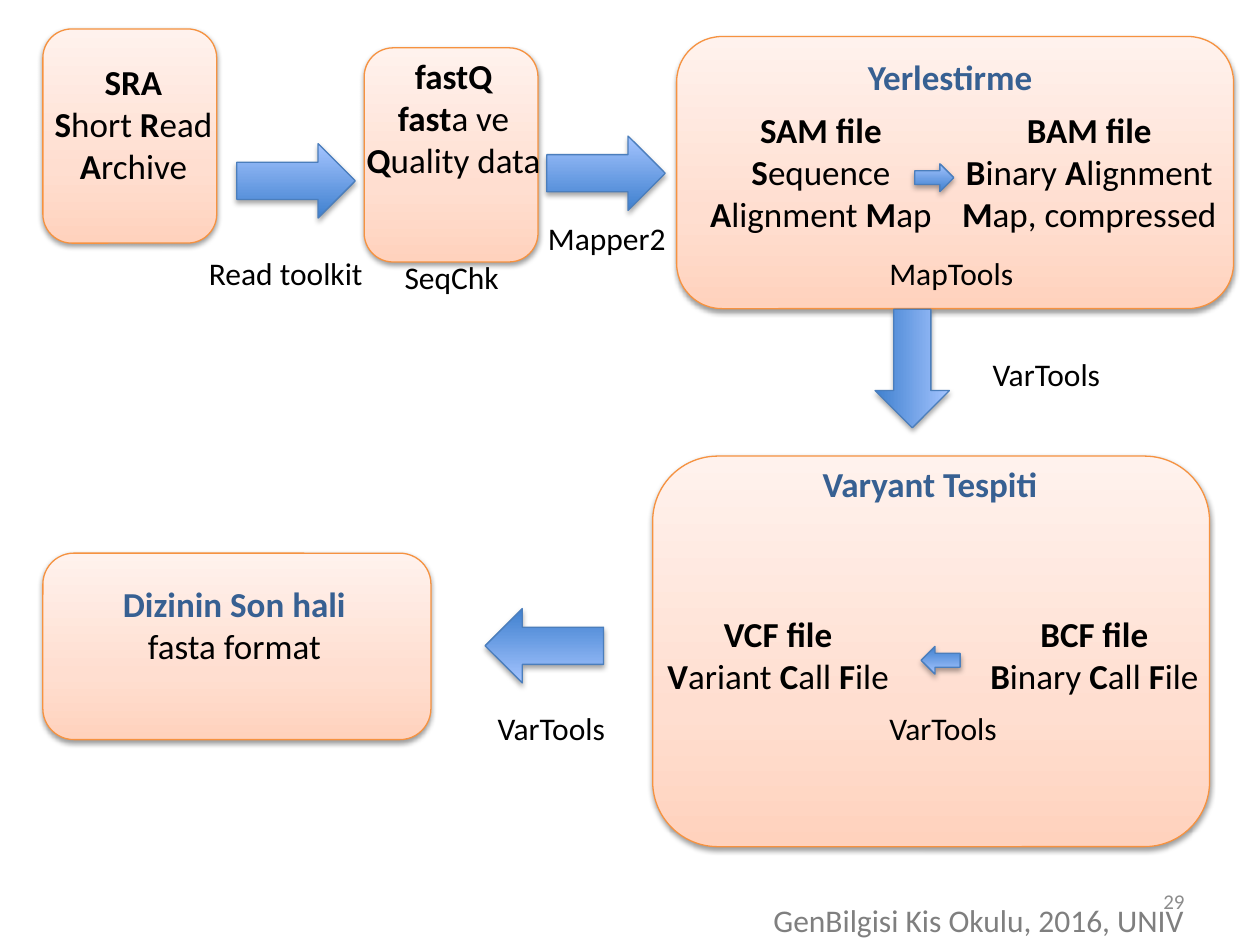
from lxml import etree
from pptx import Presentation
from pptx.dml.color import RGBColor
from pptx.enum.shapes import MSO_SHAPE
from pptx.enum.text import MSO_ANCHOR, PP_ALIGN
from pptx.oxml.ns import qn
from pptx.util import Inches, Pt

ROUNDED, ARROW = MSO_SHAPE.ROUNDED_RECTANGLE, MSO_SHAPE.RIGHT_ARROW
LEFT, CENTER, RIGHT = PP_ALIGN.LEFT, PP_ALIGN.CENTER, PP_ALIGN.RIGHT
TOP, MIDDLE = MSO_ANCHOR.TOP, MSO_ANCHOR.MIDDLE
BLACK, HEADING, GRAY, PALE_GRAY = "000000", "376092", "7F7F7F", "8C8C8C"
BIG_ARROW, SMALL_ARROW = (0.94, 0.59), (0.31, 0.22)
VARIANT_TOOL = "VarTools"
PANEL_STYLE = {
    "stops": [(0, "FFD2BD"), (35, "FFDED0"), (100, "FFF2ED")],
    "line": "F69240", "shadow_alpha": 38, "shadow_distance": 1.6,
}
ARROW_STYLE = {
    "stops": [(0, "3F80CE"), (100, "A4C4FF")],
    "line": "4B7EBC", "shadow_alpha": 35, "shadow_distance": 1.8,
}


def rgb(value):
    """Turn a hex string into a colour."""
    return RGBColor.from_string(value)


def add_color(parent, value):
    """Append a colour element to an XML parent and return it."""
    return etree.SubElement(parent, qn("a:srgbClr"), val=value)


def add_styled_shape(slide, preset, box, style, rotation=0):
    """Add a preset shape with gradient, outline and soft shadow."""
    shape = slide.shapes.add_shape(preset, *map(Inches, box))
    shape.rotation = rotation
    shape.fill.gradient()
    shape.fill.gradient_angle = 90
    stops = shape._element.spPr.find(qn("a:gradFill")).find(qn("a:gsLst"))
    for stop in list(stops):
        stops.remove(stop)
    for position, value in style["stops"]:
        add_color(etree.SubElement(stops, qn("a:gs"), pos=str(position * 1000)), value)
    shape.line.color.rgb = rgb(style["line"])
    shape.line.width = Pt(0.75)
    shape.shadow.inherit = False
    effects = shape._element.spPr.find(qn("a:effectLst"))
    shadow = etree.SubElement(
        effects, qn("a:outerShdw"), blurRad=str(Pt(3.1)),
        dist=str(Pt(style["shadow_distance"])), dir="5400000", rotWithShape="0")
    etree.SubElement(add_color(shadow, BLACK), qn("a:alpha"),
                     val=str(style["shadow_alpha"] * 1000))


def add_panel(slide, box):
    """Add a rounded orange panel."""
    add_styled_shape(slide, ROUNDED, box, PANEL_STYLE)


def add_arrow(slide, left, top, size=BIG_ARROW, rotation=0):
    """Add a blue block arrow, rotated about its centre."""
    add_styled_shape(slide, ARROW, (left, top, *size), ARROW_STYLE, rotation)


def add_text(slide, box, lines, size=20, align=CENTER, anchor=TOP):
    """Add (text, colour) paragraphs; asterisks enclose bold passages."""
    frame = slide.shapes.add_textbox(*map(Inches, box)).text_frame
    frame.word_wrap = True
    frame.vertical_anchor = anchor
    for number, (text, color) in enumerate(lines):
        paragraph = frame.add_paragraph() if number else frame.paragraphs[0]
        paragraph.alignment = align
        for part, passage in enumerate(text.split("*")):
            if not passage:
                continue
            run = paragraph.add_run()
            run.text = passage
            font = {"name": "Calibri", "size": Pt(size), "bold": part % 2 == 1}
            for attribute, value in font.items():
                setattr(run.font, attribute, value)
            run.font.color.rgb = rgb(color)


def add_tool(slide, left, top, tool, width=1.45, align=LEFT):
    """Name the tool that performs a step."""
    add_text(slide, (left, top, width, 0.4), [(tool, BLACK)], 18, align)


def add_format(slide, box, name, meaning):
    """Add a bold file format name with its spelled-out meaning."""
    add_text(slide, box, [(f"*{name}*", BLACK), (meaning, BLACK)])


def add_input(slide, box, text_at, name, meaning):
    """Add a narrow panel for an input format, with centred text."""
    left, top, width, _ = box
    add_panel(slide, box)
    add_format(slide, (left + text_at[0], top + text_at[1], width + 0.38, 1.11),
               name, meaning)


def add_stage(slide, box, title, title_at, formats, arrow, tool):
    """Add a stage panel: title, two formats, an arrow and its tool."""
    left, top = box[:2]
    add_panel(slide, box)
    add_text(slide, (left + title_at[0], top + title_at[1], 3.02, 0.44),
             [(f"*{title}*", HEADING)])
    for x, y, name, meaning in formats:
        add_format(slide, (left + x, top + y, 2.29, 1.11), name, meaning)
    x, y, rotation = arrow
    add_arrow(slide, left + x, top + y, SMALL_ARROW, rotation)
    x, y, name = tool
    add_tool(slide, left + x, top + y, name)


def add_result(slide, box):
    """Add the panel with the final sequence."""
    left, top = box[:2]
    add_panel(slide, box)
    add_text(slide, (left + 0.01, top + 0.18, 3.02, 0.77),
             [("*Dizinin Son hali*", HEADING), ("fasta format", BLACK)])


def add_footer(slide, left, top):
    """Add the slide number and the event line."""
    add_text(slide, (left + 1.13, top, 2.33, 0.4), [("29", PALE_GRAY)], 12, RIGHT, MIDDLE)
    add_text(slide, (left, top + 0.15, 3.96, 0.4),
             [("GenBilgisi Kis Okulu, 2016, UNIV", GRAY)], 18, LEFT)


def build():
    """Build the sequencing workflow slide."""
    deck = Presentation()
    deck.slide_width, deck.slide_height = Inches(10), Inches(7.5)
    slide = deck.slides.add_slide(deck.slide_layouts[6])

    add_input(slide, (0.34, 0.23, 1.38, 1.7), (-0.16, 0.2),
              "SRA", "*S*hort *R*ead *A*rchive")
    add_input(slide, (2.89, 0.38, 1.38, 1.7), (-0.17, 0),
              "fastQ", "*fast*a ve *Q*uality data")
    add_stage(
        slide, (5.37, 0.29, 4.42, 2.16), "Yerlestirme", (0.66, 0.1),
        [(0, 0.52, "SAM file", "*S*equence *A*lignment *M*ap"),
         (2.13, 0.52, "BAM file", "*B*inary *A*lignment *M*ap, compressed")],
        (1.89, 1.01, 0), (1.59, 1.68, "MapTools"))
    add_stage(
        slide, (5.18, 3.62, 4.42, 3.1), "Varyant Tespiti", (0.69, 0),
        [(-0.15, 1.19, "VCF file", "*V*ariant *C*all *F*ile"),
         (2.36, 1.19, "BCF file", "*B*inary *C*all *F*ile")],
        (2.13, 1.51, 180), (1.78, 1.96, VARIANT_TOOL))
    add_result(slide, (0.34, 4.39, 3.08, 1.48))

    for left, top, rotation in [(1.88, 1.14, 0), (4.34, 1.08, 0),
                                (6.77, 2.63, 90), (3.85, 4.83, 180)]:
        add_arrow(slide, left, top, rotation=rotation)
    add_tool(slide, 1.56, 1.97, "Read toolkit", 1.52)
    add_tool(slide, 2.81, 2, "SeqChk", 1.55, CENTER)
    add_tool(slide, 4.04, 1.69, "Mapper2", 1.55, CENTER)
    add_tool(slide, 7.78, 2.77, VARIANT_TOOL)
    add_tool(slide, 3.85, 5.58, VARIANT_TOOL)
    add_footer(slide, 6.04, 6.95)
    deck.save("out.pptx")


build()
